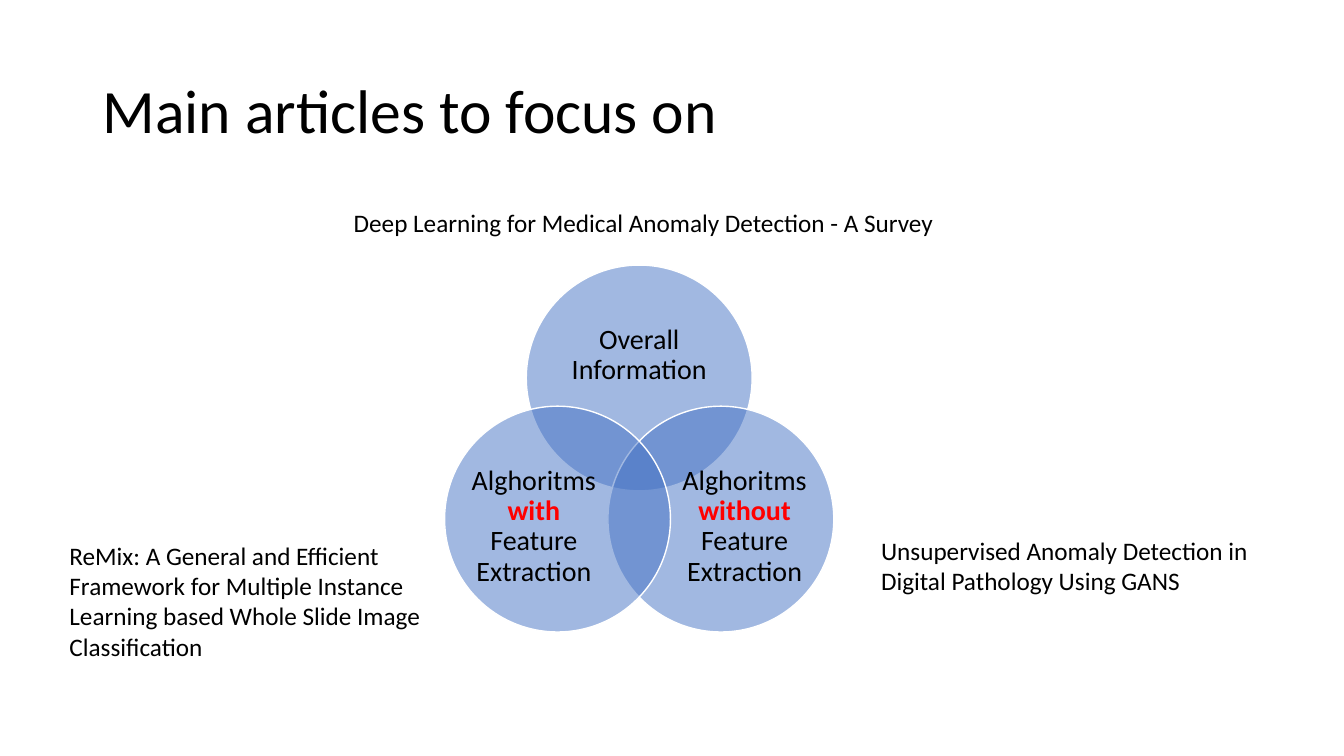
from lxml import etree
from pptx import Presentation
from pptx.dml.color import RGBColor
from pptx.enum.shapes import MSO_SHAPE
from pptx.enum.text import MSO_ANCHOR, PP_ALIGN
from pptx.oxml.ns import qn
from pptx.util import Inches, Pt

BLACK = RGBColor(0x00, 0x00, 0x00)
WHITE = RGBColor(0xFF, 0xFF, 0xFF)
RED = RGBColor(0xFF, 0x00, 0x00)
BLUE = RGBColor(0x44, 0x72, 0xC4)


def write_text(frame, text, size=18, font="Calibri", color=BLACK, accent=None,
               align=PP_ALIGN.LEFT, anchor=MSO_ANCHOR.TOP, spacing=1.0, inset=None):
    """Fill a text frame; the accent word is set bold and red."""
    frame.word_wrap = True
    frame.vertical_anchor = anchor
    if inset is not None:
        frame.margin_left = frame.margin_right = Inches(inset)
        frame.margin_top = frame.margin_bottom = Inches(inset)
    paragraph = frame.paragraphs[0]
    paragraph.alignment = align
    paragraph.line_spacing = spacing
    before, word, after = text.partition(accent) if accent else (text, "", "")
    for part in filter(None, (before, word, after)):
        run = paragraph.add_run()
        run.text = part
        run.font.name = font
        run.font.size = Pt(size)
        run.font.bold = part == accent
        run.font.color.rgb = RED if part == accent else color


class SlideBuilder:
    """Holds the circle style and the current slide."""

    def __init__(self, slide, fill=BLUE, outline=WHITE, opacity=50):
        self.slide = slide
        self.fill = fill
        self.outline = outline
        self.opacity = opacity

    def text(self, text, left, top, width, height, **style):
        box = self.slide.shapes.add_textbox(
            Inches(left), Inches(top), Inches(width), Inches(height))
        write_text(box.text_frame, text, **style)

    def circle(self, left, top, diameter):
        shape = self.slide.shapes.add_shape(
            MSO_SHAPE.OVAL, Inches(left), Inches(top), Inches(diameter), Inches(diameter))
        shape.shadow.inherit = False
        shape.fill.solid()
        shape.fill.fore_color.rgb = self.fill
        color = shape.fill._xPr.find(qn("a:solidFill"))[0]
        etree.SubElement(color, qn("a:alpha"), val=str(self.opacity * 1000))
        shape.line.color.rgb = self.outline
        shape.line.width = Pt(1)


presentation = Presentation()
presentation.slide_width = Inches(13.33)
presentation.slide_height = Inches(7.5)
slide = presentation.slides.add_slide(presentation.slide_layouts[6])
builder = SlideBuilder(slide)

# Title
builder.text("Main articles to focus on", 0.92, 0.4, 11.5, 1.45,
             size=44, anchor=MSO_ANCHOR.MIDDLE, spacing=0.9)

# Venn diagram: circle position, then label text, accent word and box
DIAMETER = 2.24
VENN = [
    (5.22, 2.63, "Overall Information", None, (5.52, 3.02, 1.64, 1.01)),
    (6.03, 4.03, "Alghoritms without Feature Extraction", "without",
     (6.71, 4.61, 1.35, 1.23)),
    (4.41, 4.03, "Alghoritms with Feature Extraction", "with",
     (4.62, 4.61, 1.35, 1.23)),
]
for left, top, label, accent, label_box in VENN:
    builder.circle(left, top, DIAMETER)
    builder.text(label, *label_box, size=20, accent=accent, align=PP_ALIGN.CENTER,
                 anchor=MSO_ANCHOR.MIDDLE, spacing=0.9, inset=0)

# Article beside each circle
ARTICLES = [
    ("Deep Learning for Medical Anomaly Detection - A Survey", 3.41, 2.01, 6.52, 0.4),
    ("Unsupervised Anomaly Detection in Digital Pathology Using GANS",
     8.64, 5.26, 4.34, 0.71),
    ("ReMix: A General and Efficient Framework for Multiple Instance Learning "
     "based Whole Slide Image Classification", 0.59, 5.31, 3.88, 1.31),
]
for article in ARTICLES:
    builder.text(*article)

presentation.save("out.pptx")
